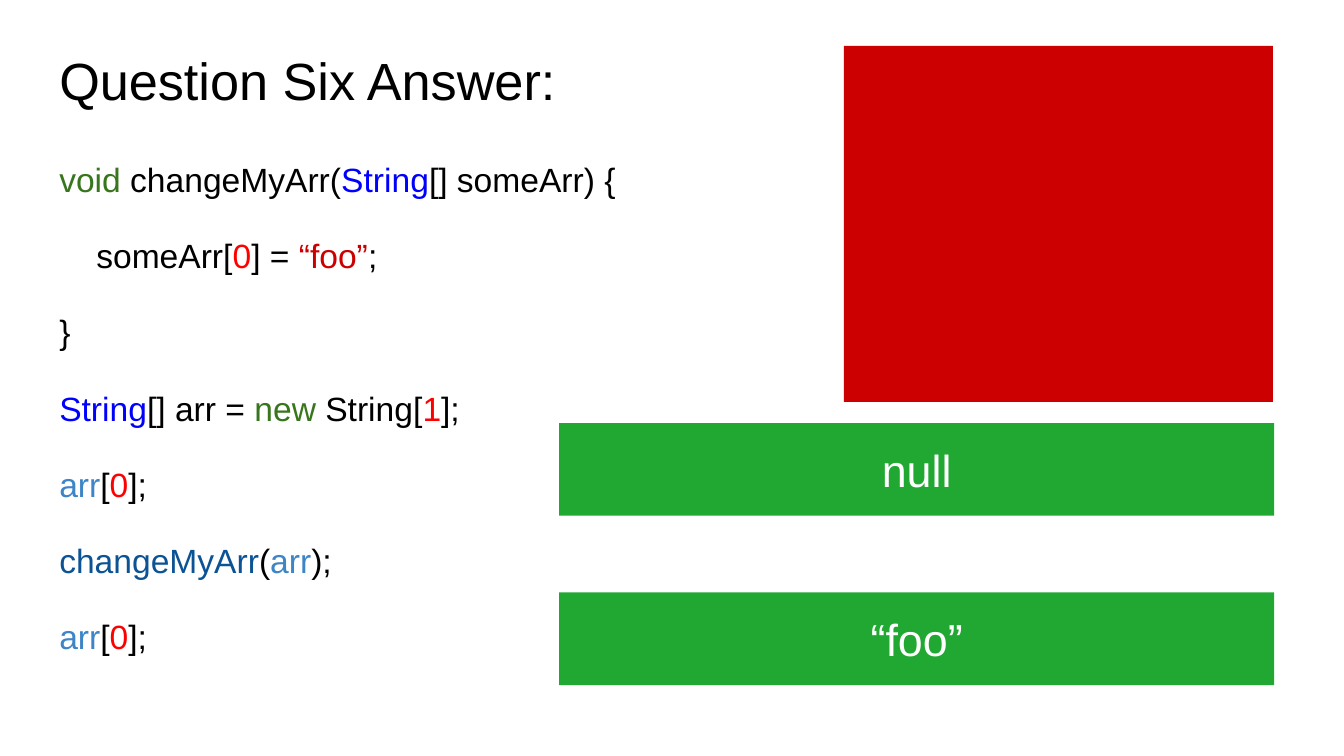
from lxml.etree import SubElement
from pptx import Presentation
from pptx.dml.color import RGBColor
from pptx.enum.shapes import MSO_SHAPE
from pptx.enum.text import MSO_ANCHOR, PP_ALIGN
from pptx.oxml.ns import qn
from pptx.util import Cm, Pt

BLACK, WHITE, RED, GREEN = "000000", "FFFFFF", "CC0000", "20A832"
KEYWORD, TYPE, NUMBER = "38761D", "0000FF", "FF0000"
VARIABLE, FUNCTION = "3D85C6", "0B5394"

TITLE = "Question Six Answer:"
ELEMENT_LINE = [("arr", VARIABLE), ("[", BLACK), ("0", NUMBER), ("];", BLACK)]
# Each line of code: indent in cm, then its coloured pieces
CODE = [
    (0, [("void", KEYWORD), (" changeMyArr(", BLACK), ("String", TYPE),
         ("[] someArr) {", BLACK)]),
    (0.7, [("someArr[", BLACK), ("0", NUMBER), ("] = ", BLACK),
           ("“foo”", RED), (";", BLACK)]),
    (0, [("}", BLACK)]),
    (0, [("String", TYPE), ("[] arr = ", BLACK), ("new", KEYWORD),
         (" String[", BLACK), ("1", NUMBER), ("];", BLACK)]),
    (0, ELEMENT_LINE),
    (0, [("changeMyArr", FUNCTION), ("(", BLACK), ("arr", VARIABLE),
         (");", BLACK)]),
    (0, ELEMENT_LINE),
]
# Text, fill, left, top, width, height in cm
BOXES = [
    ("“foo”", GREEN, 10.57, 11.2, 13.51, 1.75),
    ("null", GREEN, 10.57, 8, 13.51, 1.75),
    ("", RED, 15.95, 0.87, 8.11, 6.73),
]


def place(shape, left, top, width, height):
    shape.left, shape.top = Cm(left), Cm(top)
    shape.width, shape.height = Cm(width), Cm(height)


def set_frame(text_frame, anchor):
    text_frame.word_wrap = True
    text_frame.vertical_anchor = anchor
    text_frame.margin_left = text_frame.margin_right = Cm(0.25)
    text_frame.margin_top = text_frame.margin_bottom = Cm(0.25)


def format_run(run, size, color):
    run.font.name = "Arial"
    run.font.size = Pt(size)
    run.font.color.rgb = RGBColor.from_string(color)


def remove_bullet(paragraph, indent):
    properties = paragraph._p.get_or_add_pPr()
    properties.set("marL", str(Cm(indent)))
    properties.set("indent", "0")
    SubElement(properties, qn("a:buNone"))


def add_title(slide):
    title = slide.shapes.title
    place(title, 0.87, 0.66, 23.67, 1.6)
    title.text_frame.text = TITLE
    set_frame(title.text_frame, MSO_ANCHOR.TOP)
    paragraph = title.text_frame.paragraphs[0]
    paragraph.alignment = PP_ALIGN.LEFT
    format_run(paragraph.runs[0], 28, BLACK)


def add_code(slide):
    body = slide.placeholders[1]
    place(body, 0.87, 2.64, 23.67, 10.31)
    text_frame = body.text_frame
    set_frame(text_frame, MSO_ANCHOR.TOP)
    for index, (indent, pieces) in enumerate(CODE):
        paragraph = text_frame.add_paragraph() if index else text_frame.paragraphs[0]
        paragraph.line_spacing = 1.15
        paragraph.space_before = Pt(16 if index else 0)
        paragraph.space_after = Pt(0)
        remove_bullet(paragraph, indent)
        for text, color in pieces:
            run = paragraph.add_run()
            run.text = text
            format_run(run, 18, color)


def add_box(slide, text, fill, *position):
    box = slide.shapes.add_shape(MSO_SHAPE.RECTANGLE, *map(Cm, position))
    box.shadow.inherit = False
    box.fill.solid()
    box.fill.fore_color.rgb = RGBColor.from_string(fill)
    box.line.fill.background()
    if text:
        box.text_frame.text = text
        set_frame(box.text_frame, MSO_ANCHOR.MIDDLE)
        paragraph = box.text_frame.paragraphs[0]
        paragraph.alignment = PP_ALIGN.CENTER
        format_run(paragraph.runs[0], 24, WHITE)


def main():
    presentation = Presentation()
    presentation.slide_width, presentation.slide_height = Cm(25.4), Cm(14.29)
    slide = presentation.slides.add_slide(presentation.slide_layouts[1])
    add_title(slide)
    add_code(slide)
    for box in BOXES:
        add_box(slide, *box)
    presentation.save("out.pptx")


if __name__ == "__main__":
    main()
